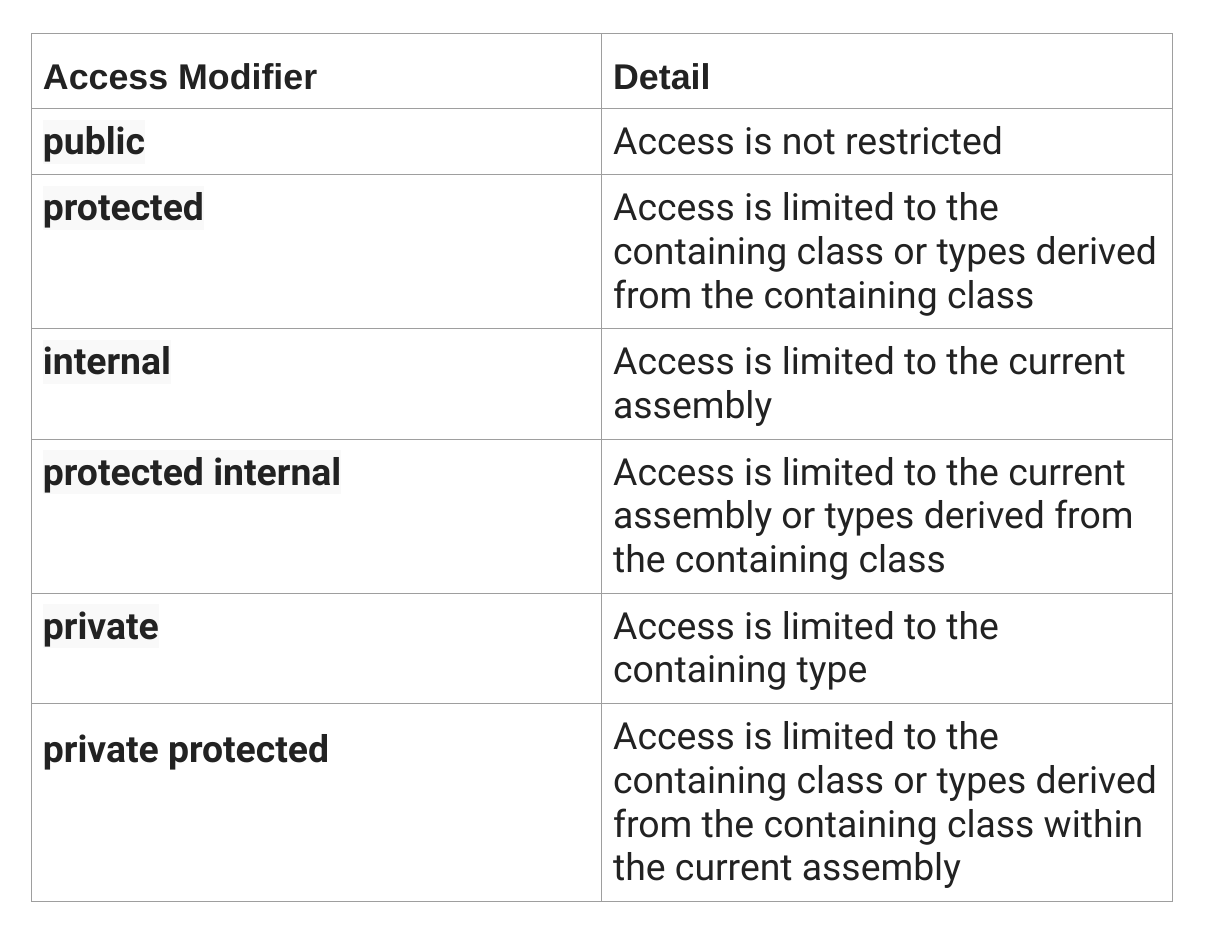
from dataclasses import dataclass

from pptx import Presentation
from pptx.dml.color import RGBColor
from pptx.enum.text import MSO_ANCHOR
from pptx.oxml import parse_xml
from pptx.oxml.ns import nsdecls
from pptx.util import Pt

TOP = MSO_ANCHOR.TOP
BLANK_LAYOUT = 6


@dataclass(frozen=True)
class Theme:
    text: str = "222222"
    paper: str = "FFFFFF"
    keyword_shade: str = "F9F9F9"
    border: str = "9E9E9E"
    border_width: float = 0.75
    header_font: str = "Arial"
    header_size: float = 23
    body_font: str = "Roboto"
    body_size: float = 24
    cell_margin: float = 7.2


HEADER = ("Access Modifier", "Detail")
MODIFIERS = [
    ("public", "Access is not restricted"),
    ("protected", "Access is limited to the containing class or types derived "
                  "from the containing class"),
    ("internal", "Access is limited to the current assembly"),
    ("protected internal", "Access is limited to the current assembly or types "
                           "derived from the containing class"),
    ("private", "Access is limited to the containing type"),
    ("private protected", "Access is limited to the containing class or types derived "
                          "from the containing class within the current assembly"),
]


class SlideBuilder:
    def __init__(self, page, theme):
        self.page = page
        self.theme = theme

    def table(self, left, top, column_widths, row_heights):
        """Add an unstyled table; rows grow from their minimum heights to fit."""
        frame = self.page.shapes.add_table(
            len(row_heights), len(column_widths), Pt(left), Pt(top),
            Pt(sum(column_widths)), Pt(sum(row_heights)))
        table = frame.table
        table.first_row = table.horz_banding = False
        for column, width in zip(table.columns, column_widths):
            column.width = Pt(width)
        for row, height in zip(table.rows, row_heights):
            row.height = Pt(height)
        return table

    def cell(self, cell, text, font, size, bold=False, shade=None, spaced=False):
        cell.fill.background()
        cell.vertical_anchor = TOP
        margin = Pt(self.theme.cell_margin)
        cell.margin_left = cell.margin_right = margin
        cell.margin_top = cell.margin_bottom = margin
        self.borders(cell)

        para = cell.text_frame.paragraphs[0]
        if spaced:
            para.line_spacing = 1.3
            para.space_before = Pt(8)
        span = para.add_run()
        span.text = text
        span.font.size = Pt(size)
        span.font.bold = bold
        span.font.color.rgb = RGBColor.from_string(self.theme.text)
        span.font.name = font
        self.highlight(span, shade or self.theme.paper)

    def borders(self, cell):
        properties = cell._tc.get_or_add_tcPr()
        for index, side in enumerate("LRTB"):
            properties.insert(index, parse_xml(
                f'<a:ln{side} {nsdecls("a")} w="{Pt(self.theme.border_width)}">'
                f'<a:solidFill><a:srgbClr val="{self.theme.border}"/></a:solidFill>'
                f'<a:prstDash val="solid"/></a:ln{side}>'))

    def highlight(self, span, color):
        """Shade the text; the schema wants the mark right before the typeface."""
        latin = span.font._element.find("{*}latin")
        latin.addprevious(parse_xml(
            f'<a:highlight {nsdecls("a")}><a:srgbClr val="{color}"/></a:highlight>'))


def main():
    theme = Theme()
    deck = Presentation()
    deck.slide_width, deck.slide_height = Pt(792), Pt(612)
    page = deck.slides.add_slide(deck.slide_layouts[BLANK_LAYOUT])
    builder = SlideBuilder(page, theme)

    table = builder.table(20.4, 21.8, [366.6] * 2, [31] + [30.2] * len(MODIFIERS))
    for column, heading in enumerate(HEADER):
        builder.cell(table.cell(0, column), heading, theme.header_font,
                     theme.header_size, bold=True, spaced=True)
    for row, (modifier, detail) in enumerate(MODIFIERS, start=1):
        is_last = row == len(MODIFIERS)
        builder.cell(table.cell(row, 0), modifier, theme.body_font, theme.body_size,
                     bold=True, spaced=is_last,
                     shade=None if is_last else theme.keyword_shade)
        builder.cell(table.cell(row, 1), detail, theme.body_font, theme.body_size)

    deck.save("out.pptx")


if __name__ == "__main__":
    main()
